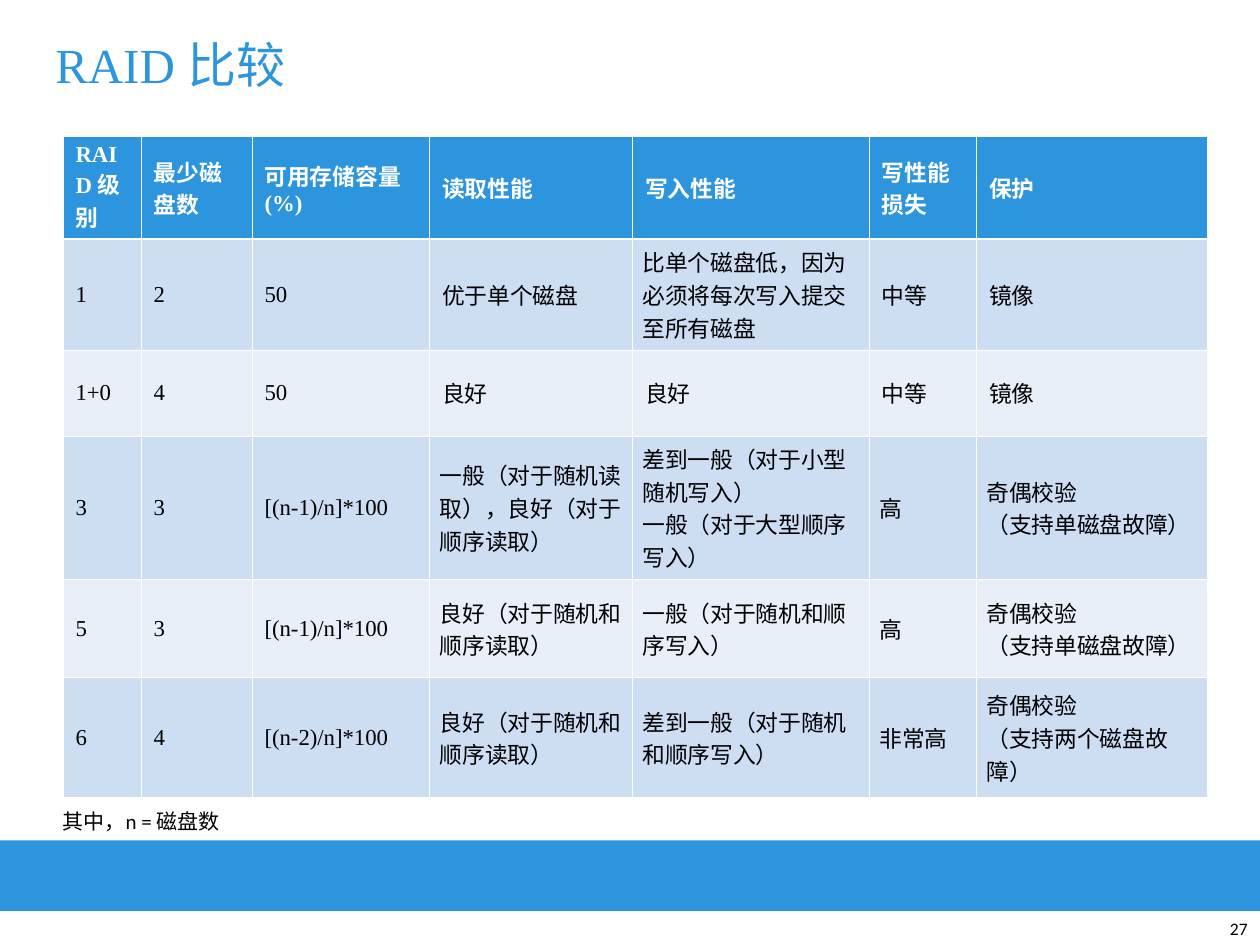
from lxml import etree
from pptx import Presentation
from pptx import util as u
from pptx.dml.color import RGBColor
from pptx.enum import shapes, text
from pptx.oxml.ns import qn

BLUE = RGBColor(0x2C, 0x95, 0xDD)
WHITE = RGBColor(0xFF, 0xFF, 0xFF)
BLACK = RGBColor(0, 0, 0)
BAND_DARK = RGBColor(0xCD, 0xDD, 0xF2)
BAND_LIGHT = RGBColor(0xE8, 0xEF, 0xF9)

COLUMN_WIDTHS = [0.62, 0.88, 1.41, 1.61, 1.88, 0.85, 1.83]
ROW_HEIGHTS = [0.82, 0.88, 0.68, 1.14, 0.78, 0.95]
LOSS_COLUMN = 5
ROWS = [
    ["RAID 级别", "最少磁盘数", "可用存储容量 (%)", "读取性能", "写入性能", "写性能损失", "保护"],
    ["1", "2", "50", "优于单个磁盘", "比单个磁盘低，因为必须将每次写入提交至所有磁盘", "中等", "镜像"],
    ["1+0", "4", "50", "良好", "良好", "中等", "镜像"],
    ["3", "3", "[(n-1)/n]*100", "一般（对于随机读取），良好（对于顺序读取）",
     "差到一般（对于小型随机写入）\n一般（对于大型顺序写入）", "高", "奇偶校验\n（支持单磁盘故障）"],
    ["5", "3", "[(n-1)/n]*100", "良好（对于随机和顺序读取）",
     "一般（对于随机和顺序写入）", "高", "奇偶校验\n（支持单磁盘故障）"],
    ["6", "4", "[(n-2)/n]*100", "良好（对于随机和顺序读取）",
     "差到一般（对于随机和顺序写入）", "非常高", "奇偶校验\n（支持两个磁盘故障）"],
]


def apply(target, values):
    for name, value in values.items():
        setattr(target, name, value)


def style_font(font, size, name, color, bold=False):
    apply(font, {"size": u.Pt(size), "name": name, "bold": bold})
    font.color.rgb = color


def add_label(page, box, words, size, font_name, color, anchor, align, wrap=True):
    label = page.shapes.add_textbox(*map(u.Inches, box))
    frame = label.text_frame
    apply(frame, {"word_wrap": wrap, "vertical_anchor": anchor})
    para = frame.paragraphs[0]
    para.alignment = align
    span = para.add_run()
    span.text = words
    style_font(span.font, size, font_name, color)
    return label


def add_band(page, box):
    band = page.shapes.add_shape(shapes.MSO_SHAPE.RECTANGLE, *map(u.Inches, box))
    band.shadow.inherit = False
    band.fill.solid()
    band.fill.fore_color.rgb = BLUE
    band.line.fill.background()


def add_borders(cell, widths):
    """Draw white cell borders; widths maps a side (L, R, T, B) to points."""
    properties = cell._tc.get_or_add_tcPr()
    for side, width in widths.items():
        line = etree.SubElement(properties, qn(f"a:ln{side}"), w=str(u.Pt(width)))
        fill = etree.SubElement(line, qn("a:solidFill"))
        etree.SubElement(fill, qn("a:srgbClr"), val=str(WHITE))


def fill_cell(cell, words, row, column):
    header = row == 0
    # Cells with long descriptions have slightly tighter side margins
    detailed = row >= 3 and column >= 3
    side = u.Inches(0.08 if detailed or (row, column) == (1, 4) else 0.1)
    apply(cell, {"text": words, "vertical_anchor": text.MSO_ANCHOR.MIDDLE,
                 "margin_left": side, "margin_right": side,
                 "margin_top": u.Inches(0.05), "margin_bottom": u.Inches(0.05)})
    for para in cell.text_frame.paragraphs:
        if detailed and column == LOSS_COLUMN:
            apply(para, {"space_before": u.Pt(6), "space_after": u.Pt(3)})
        for span in para.runs:
            style_font(span.font, 13, "Times New Roman", WHITE if header else BLACK, header)
    add_borders(cell, {"L": 0.45, "R": 0.45, "T": 1.47 if row == 1 else 0.45,
                       "B": 1.47 if header else 0.45})
    cell.fill.solid()
    cell.fill.fore_color.rgb = BLUE if header else (BAND_DARK if row % 2 else BAND_LIGHT)


def add_comparison(page, box):
    frame = page.shapes.add_table(len(ROWS), len(COLUMN_WIDTHS), *map(u.Inches, box))
    table = frame.table
    table.horz_banding = False
    for column, width in zip(table.columns, COLUMN_WIDTHS):
        column.width = u.Inches(width)
    for row, height in zip(table.rows, ROW_HEIGHTS):
        row.height = u.Inches(height)
    for i, values in enumerate(ROWS):
        for j, words in enumerate(values):
            fill_cell(table.cell(i, j), words, i, j)


def main():
    deck = Presentation()
    apply(deck, {"slide_width": u.Inches(10), "slide_height": u.Inches(7.5)})
    page = deck.slides.add_slide(deck.slide_layouts[6])
    anchor, align = text.MSO_ANCHOR, text.PP_ALIGN

    # Footer band
    add_band(page, (0, 6.67, 10, 0.56))
    # Title
    add_label(page, (0.34, 0.09, 9.25, 0.83), "RAID 比较", 28, "Times New Roman", BLUE,
              anchor.MIDDLE, align.LEFT)
    # RAID level comparison
    add_comparison(page, (0.5, 1.08, sum(COLUMN_WIDTHS), sum(ROW_HEIGHTS)))
    # Page number
    add_label(page, (9.5, 7.25, 0.5, 0.25), "27", 10, "Calibri", BLACK,
              anchor.BOTTOM, align.RIGHT)
    # Table note
    note = add_label(page, (0.32, 6.37, 1.6, 0.3), "其中，n = 磁盘数", 12, "Calibri", BLACK,
                     anchor.TOP, align.CENTER, wrap=False)
    note.text_frame.auto_size = text.MSO_AUTO_SIZE.SHAPE_TO_FIT_TEXT

    deck.save("out.pptx")


if __name__ == "__main__":
    main()
